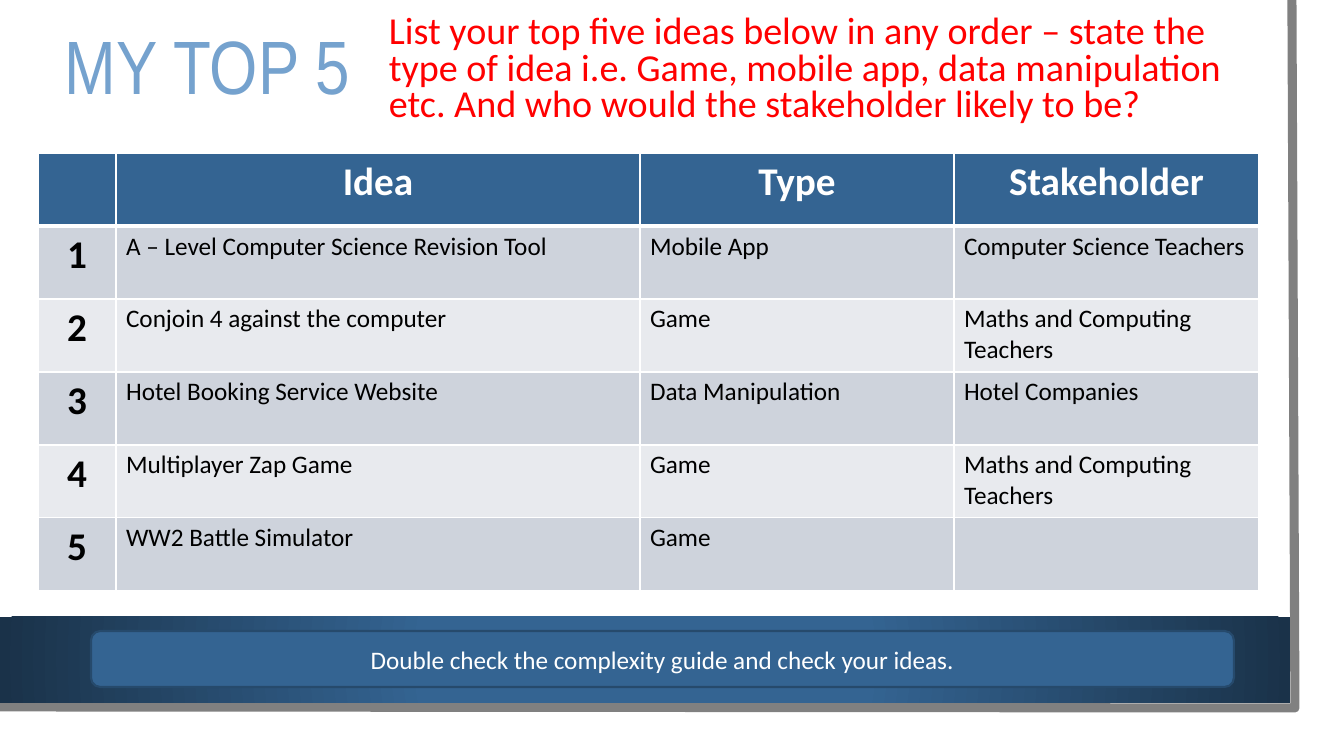
from lxml.etree import SubElement
from pptx import Presentation
from pptx.dml.color import RGBColor
from pptx.enum.shapes import MSO_SHAPE
from pptx.enum.text import MSO_ANCHOR, PP_ALIGN
from pptx.oxml import parse_xml
from pptx.oxml.ns import nsdecls, qn
from pptx.util import Pt

PX = 914400 / 100.8
COLOURS = {
    "white": "FFFFFF", "black": "000000", "edge": "808080", "red": "FF0000",
    "title": "75A2CE", "blue": "346492", "navy": "1A3249", "outline": "264A6C",
    "band_dark": "CED3DC", "band_light": "E8EAEE",
}
HEADINGS = ["", "Idea", "Type", "Stakeholder"]
IDEAS = [
    ("A – Level Computer Science Revision Tool", "Mobile App", "Computer Science Teachers"),
    ("Conjoin 4 against the computer", "Game", "Maths and Computing Teachers"),
    ("Hotel Booking Service Website", "Data Manipulation", "Hotel Companies"),
    ("Multiplayer Zap Game", "Game", "Maths and Computing Teachers"),
    ("WW2 Battle Simulator", "Game", ""),
]


def px(*lengths):
    return [round(length * PX) for length in lengths]


def colour(name):
    return RGBColor.from_string(COLOURS[name])


class SlideBuilder:
    def __init__(self, deck, font="Calibri"):
        self.font = font
        self.page = deck.slides.add_slide(deck.slide_layouts[6])

    def set_text(self, frame, text, size, ink, font=None, bold=False, align=PP_ALIGN.LEFT, spacing=None):
        para = frame.paragraphs[0]
        para.text = text
        para.alignment = align
        para.line_spacing = spacing
        para.font.name = font or self.font
        para.font.size = Pt(size)
        para.font.bold = bold
        para.font.color.rgb = colour(ink)

    def text(self, bounds, text, size, ink, **style):
        frame = self.page.shapes.add_textbox(*px(*bounds)).text_frame
        frame.word_wrap = True
        frame.vertical_anchor = MSO_ANCHOR.MIDDLE
        self.set_text(frame, text, size, ink, **style)

    def box(self, bounds, fill, kind=MSO_SHAPE.RECTANGLE, line=None, weight=1.5):
        box = self.page.shapes.add_shape(kind, *px(*bounds))
        box.shadow.inherit = False
        box.fill.solid()
        box.fill.fore_color.rgb = colour(fill)
        if line:
            box.line.color.rgb = colour(line)
            box.line.width = Pt(weight)
        else:
            box.line.fill.background()
        return box

    def radial_box(self, bounds, inner, outer, inner_stop):
        box = self.box(bounds, inner)
        solid = box._element.spPr.find(qn("a:solidFill"))
        stops = "".join(
            f'<a:gs pos="{stop * 1000}"><a:srgbClr val="{COLOURS[name]}"/></a:gs>'
            for stop, name in ((inner_stop, inner), (100, outer)))
        gradient = parse_xml(
            f'<a:gradFill {nsdecls("a")} rotWithShape="1"><a:gsLst>{stops}</a:gsLst>'
            '<a:path path="circle"><a:fillToRect l="50000" t="50000" r="50000" b="50000"/>'
            '</a:path></a:gradFill>')
        solid.getparent().replace(solid, gradient)

    def outline(self, points, line, weight):
        builder = self.page.shapes.build_freeform(*points[0], scale=PX)
        builder.add_line_segments(points[1:], close=False)
        shape = builder.convert_to_shape()
        shape.shadow.inherit = False
        shape.fill.background()
        shape.line.color.rgb = colour(line)
        shape.line.width = Pt(weight)

    def borders(self, cell, bottom=1):
        properties = cell._tc.get_or_add_tcPr()
        sides = (("lnL", 1), ("lnR", 1), ("lnT", 1), ("lnB", bottom))
        for place, (side, weight) in enumerate(sides):
            line = parse_xml(f'<a:{side} {nsdecls("a")} w="{Pt(weight)}"/>')
            fill = SubElement(line, qn("a:solidFill"))
            SubElement(fill, qn("a:srgbClr"), val=COLOURS["white"])
            properties.insert(place, line)

    def table(self, left, top, widths, row_height, rows):
        bounds = px(left, top, sum(widths), row_height * len(rows))
        table = self.page.shapes.add_table(len(rows), len(widths), *bounds).table
        for column, width in zip(table.columns, px(*widths)):
            column.width = width
        for r, values in enumerate(rows):
            band = "blue" if r == 0 else ("band_light", "band_dark")[r % 2]
            for c, value in enumerate(values):
                cell = table.cell(r, c)
                cell.fill.solid()
                cell.fill.fore_color.rgb = colour(band)
                self.borders(cell, bottom=3 if r == 0 else 1)
                heading = r == 0 or c == 0
                self.set_text(cell.text_frame, value, 28 if heading else 18,
                              "white" if r == 0 else "black", bold=heading,
                              align=PP_ALIGN.CENTER if heading else PP_ALIGN.LEFT)


def main():
    deck = Presentation()
    deck.slide_width, deck.slide_height = px(1344, 756)
    slide = SlideBuilder(deck)

    # Paper edge and footer band
    slide.box((0, 0, 1320, 733), "white")
    slide.outline([(1292, 0), (1295, 708), (-3, 707)], "edge", 6.5)
    slide.radial_box((0, 617, 1290, 86), "blue", "navy", 34)

    # Title and instructions
    slide.text((55, 7, 320, 127), "MY TOP 5", 54, "title", font="Arial Narrow", spacing=0.9)
    slide.text((379, 7, 871, 127),
               "List your top five ideas below in any order – state the type of idea i.e. "
               "Game, mobile app, data manipulation etc. And who would the stakeholder "
               "likely to be?", 27.2, "red", spacing=0.8)

    # Ideas table
    numbered = [(str(number), *idea) for number, idea in enumerate(IDEAS, 1)]
    slide.table(38, 153, [78, 524, 314, 305], 73, [HEADINGS, *numbered])

    # Reminder
    reminder = slide.box((91, 631, 1143, 56), "blue", MSO_SHAPE.ROUNDED_RECTANGLE, "outline")
    reminder.text_frame.vertical_anchor = MSO_ANCHOR.MIDDLE
    slide.set_text(reminder.text_frame, "Double check the complexity guide and check your ideas.",
                   18, "white", align=PP_ALIGN.CENTER)

    deck.save("out.pptx")


if __name__ == "__main__":
    main()
